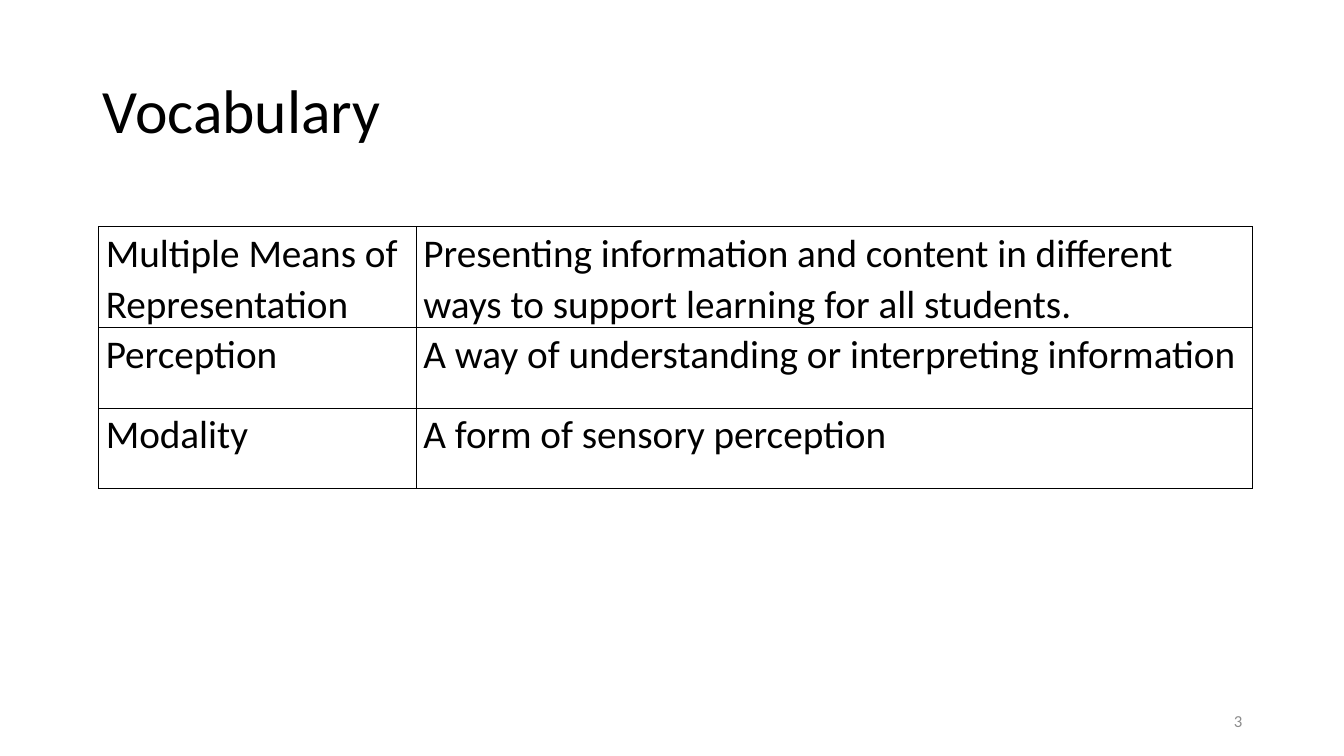
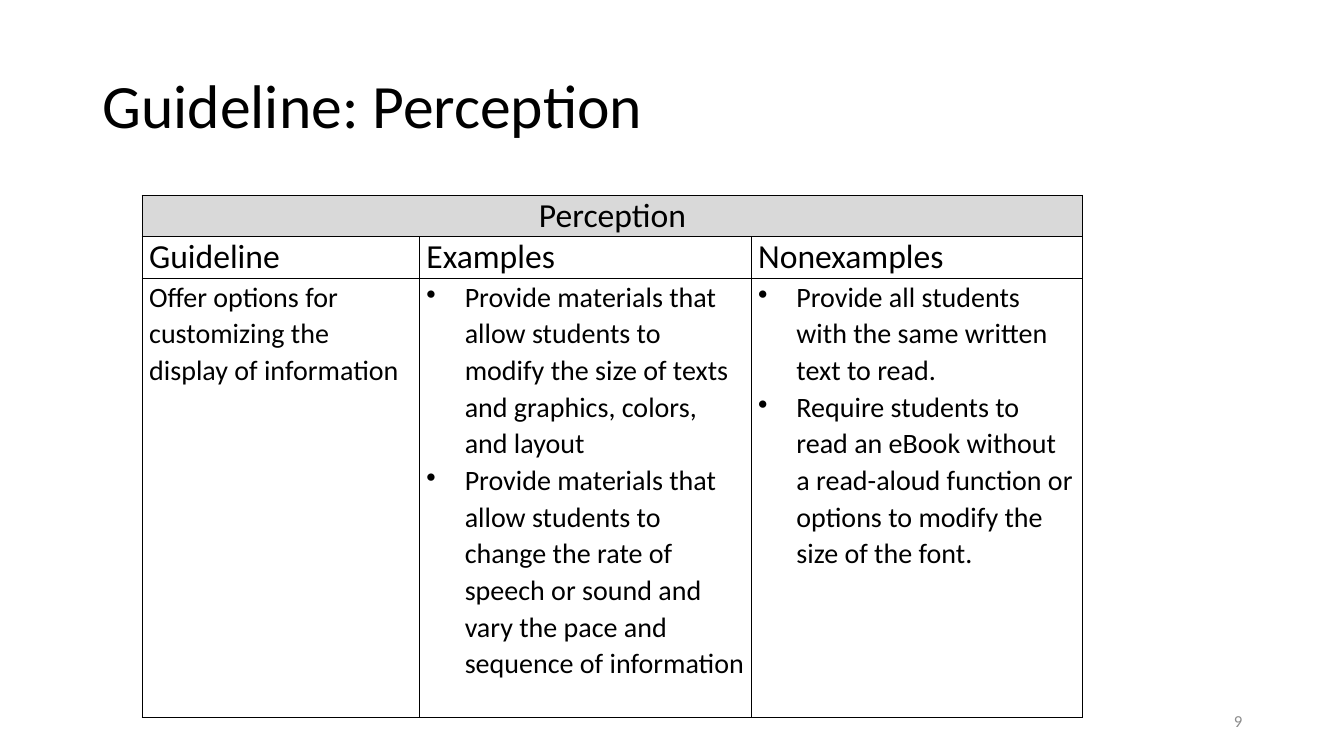
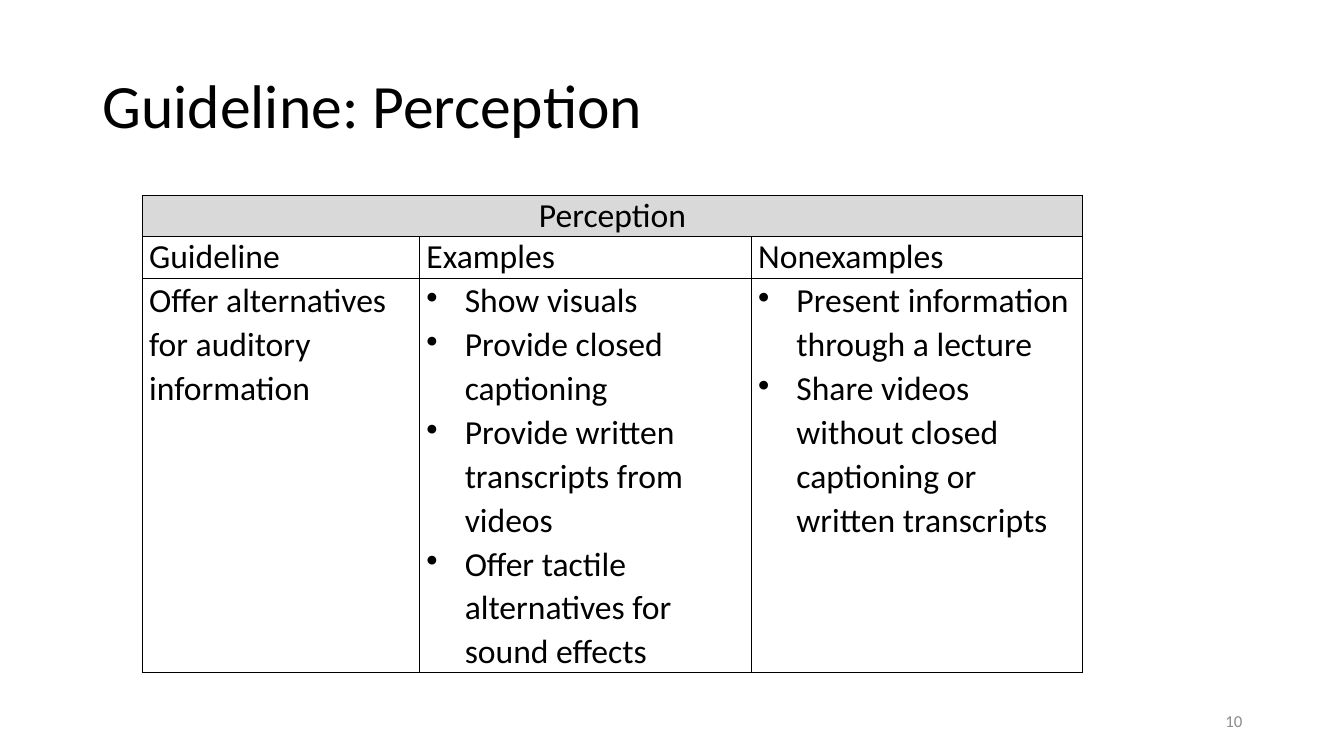
"""Build three slides on vocabulary and perception guidelines."""
import pptx
import pptx.dml.color
import pptx.enum.text
import pptx.oxml
import pptx.oxml.ns
import pptx.util
from lxml import etree

Inches = pptx.util.Inches
ALIGN = pptx.enum.text.PP_ALIGN
FONT = "Calibri"
BLACK, GRAY, BAND = "000000", "8C8C8C", "D9D9D9"
TITLE_SIZE, NUMBER_SIZE, HEAD_SIZE = 44, 12, 24
LINE_SPACING = 1.07
HEAD_HEIGHT = 0.41
INDENT = 0.38


def color(value):
    return pptx.dml.color.RGBColor.from_string(value)


def add_run(p, text, size, hue=BLACK):
    r = p.add_run()
    r.text = text
    r.font.name = FONT
    r.font.size = pptx.util.Pt(size)
    r.font.color.rgb = color(hue)


def add_text(s, box, text, size, hue=BLACK, align=ALIGN.LEFT, spacing=1.0):
    tf = s.shapes.add_textbox(*map(Inches, box)).text_frame
    tf.word_wrap = True
    tf.vertical_anchor = pptx.enum.text.MSO_ANCHOR.MIDDLE
    p = tf.paragraphs[0]
    p.alignment = align
    p.line_spacing = spacing
    add_run(p, text, size, hue)


def add_slide(prs, title, number, title_top):
    s = prs.slides.add_slide(prs.slide_layouts[6])
    add_text(s, (0.92, title_top, 11.5, 1.45), title, TITLE_SIZE, spacing=0.9)
    add_text(s, (9.42, 6.95, 3, 0.4), number, NUMBER_SIZE, GRAY, ALIGN.RIGHT)
    return s


def add_bullet(p):
    pPr = p._p.get_or_add_pPr()
    pPr.set("marL", str(Inches(INDENT)))
    pPr.set("indent", str(-Inches(INDENT)))
    etree.SubElement(pPr, pptx.oxml.ns.qn("a:buChar")).set("char", "•")


def add_borders(cell):
    tcPr = cell._tc.get_or_add_tcPr()
    for side in "LRTB":
        tcPr.append(pptx.oxml.parse_xml(
            f'<a:ln{side} {pptx.oxml.ns.nsdecls("a")} w="12700"><a:solidFill>'
            f'<a:srgbClr val="{BLACK}"/></a:solidFill></a:ln{side}>'))


def add_grid(s, left, top, widths, heights):
    frame = s.shapes.add_table(
        len(heights), len(widths), Inches(left), Inches(top),
        Inches(sum(widths)), Inches(sum(heights)))
    table = frame.table
    table.first_row = table.horz_banding = False
    for column, width in zip(table.columns, widths):
        column.width = Inches(width)
    for row, height in zip(table.rows, heights):
        row.height = Inches(height)
    for cell in table.iter_cells():
        cell.margin_left = cell.margin_right = Inches(0.07)
        cell.margin_top = cell.margin_bottom = 0
        add_borders(cell)
        cell.fill.background()
    return table


def fill_cell(cell, texts, size, bullets=False, align=ALIGN.LEFT, spacing=LINE_SPACING):
    tf = cell.text_frame
    for i, text in enumerate(texts):
        p = tf.add_paragraph() if i else tf.paragraphs[0]
        if bullets:
            add_bullet(p)
        p.alignment = align
        p.line_spacing = spacing
        add_run(p, text, size)


def add_vocabulary(prs, number, terms):
    s = add_slide(prs, "Vocabulary", number, 0.4)
    table = add_grid(s, 0.98, 2.25, (3.15, 8.29), [0.8] * len(terms))
    for row, entry in enumerate(terms):
        for col, text in enumerate(entry):
            fill_cell(table.cell(row, col), [text], 28)


def add_guideline(prs, number, guideline, examples, nonexamples, size, height):
    s = add_slide(prs, "Guideline: Perception", number, 0.35)
    table = add_grid(s, 1.41, 1.94, (2.75, 3.29, 3.29),
                     (HEAD_HEIGHT, HEAD_HEIGHT, height))
    band = table.cell(0, 0)
    band.merge(table.cell(0, 2))
    band.fill.solid()
    band.fill.fore_color.rgb = color(BAND)
    fill_cell(band, ["Perception"], HEAD_SIZE, align=ALIGN.CENTER, spacing=1.0)
    columns = (("Guideline", [guideline]), ("Examples", examples),
               ("Nonexamples", nonexamples))
    for col, (heading, texts) in enumerate(columns):
        fill_cell(table.cell(1, col), [heading], HEAD_SIZE, spacing=1.0)
        fill_cell(table.cell(2, col), texts, size, bullets=col > 0)


def main():
    prs = pptx.Presentation()
    prs.slide_width, prs.slide_height = Inches(13.33), Inches(7.5)
    add_vocabulary(prs, "3", (
        ("Multiple Means of Representation",
         "Presenting information and content in different ways to support "
         "learning for all students."),
        ("Perception", "A way of understanding or interpreting information"),
        ("Modality", "A form of sensory perception"),
    ))
    add_guideline(
        prs, "9", "Offer options for customizing the display of information",
        ["Provide materials that allow students to modify the size of texts "
         "and graphics, colors, and layout",
         "Provide materials that allow students to change the rate of speech "
         "or sound and vary the pace and sequence of information"],
        ["Provide all students with the same written text to read.",
         "Require students to read an eBook without a read-aloud function or "
         "options to modify the size of the font."],
        size=20, height=4.36)
    add_guideline(
        prs, "10", "Offer alternatives for auditory information",
        ["Show visuals", "Provide closed captioning",
         "Provide written transcripts from videos",
         "Offer tactile alternatives for sound effects"],
        ["Present information through a lecture",
         "Share videos without closed captioning or written transcripts"],
        size=24, height=3.91)
    prs.save("out.pptx")


if __name__ == "__main__":
    main()
